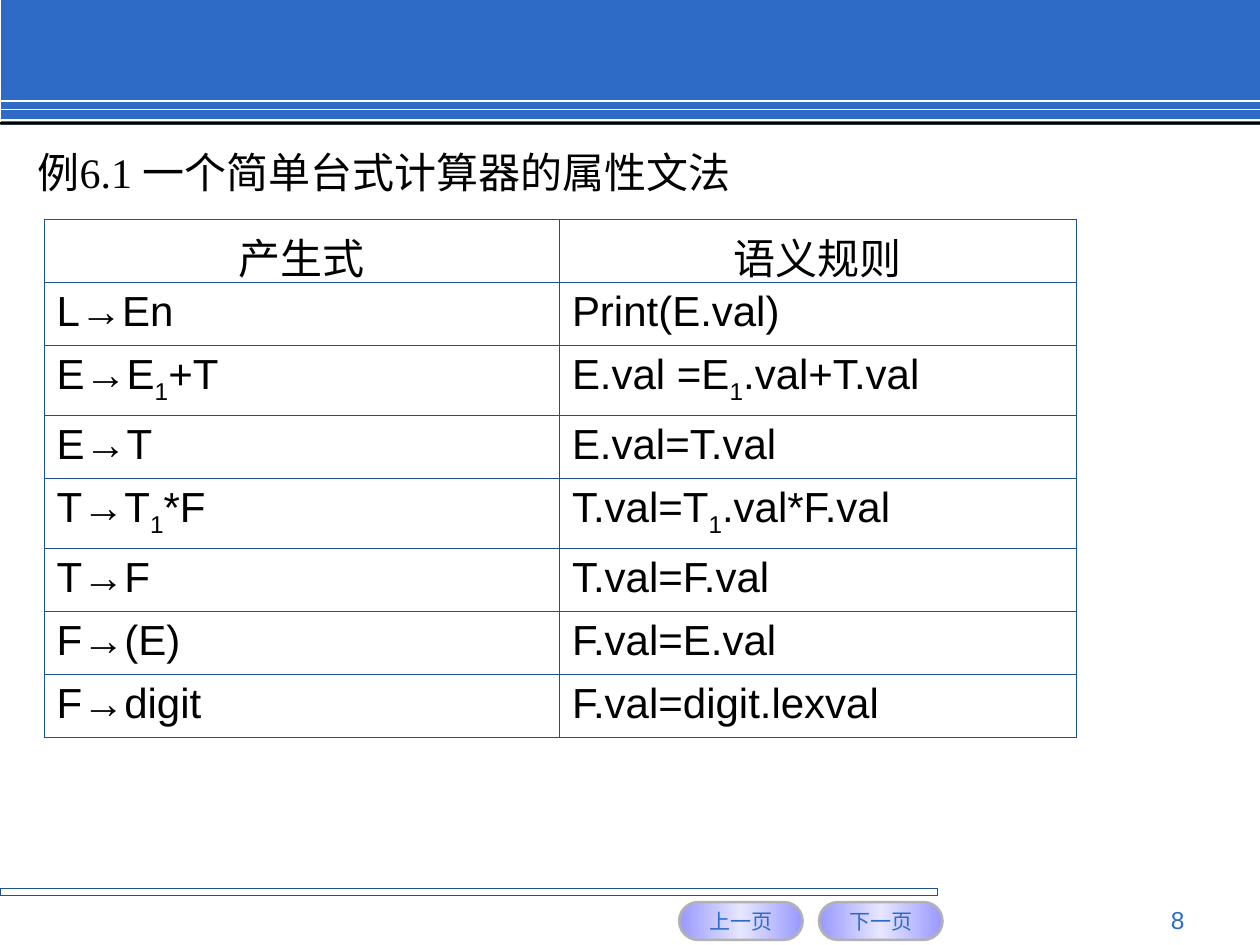
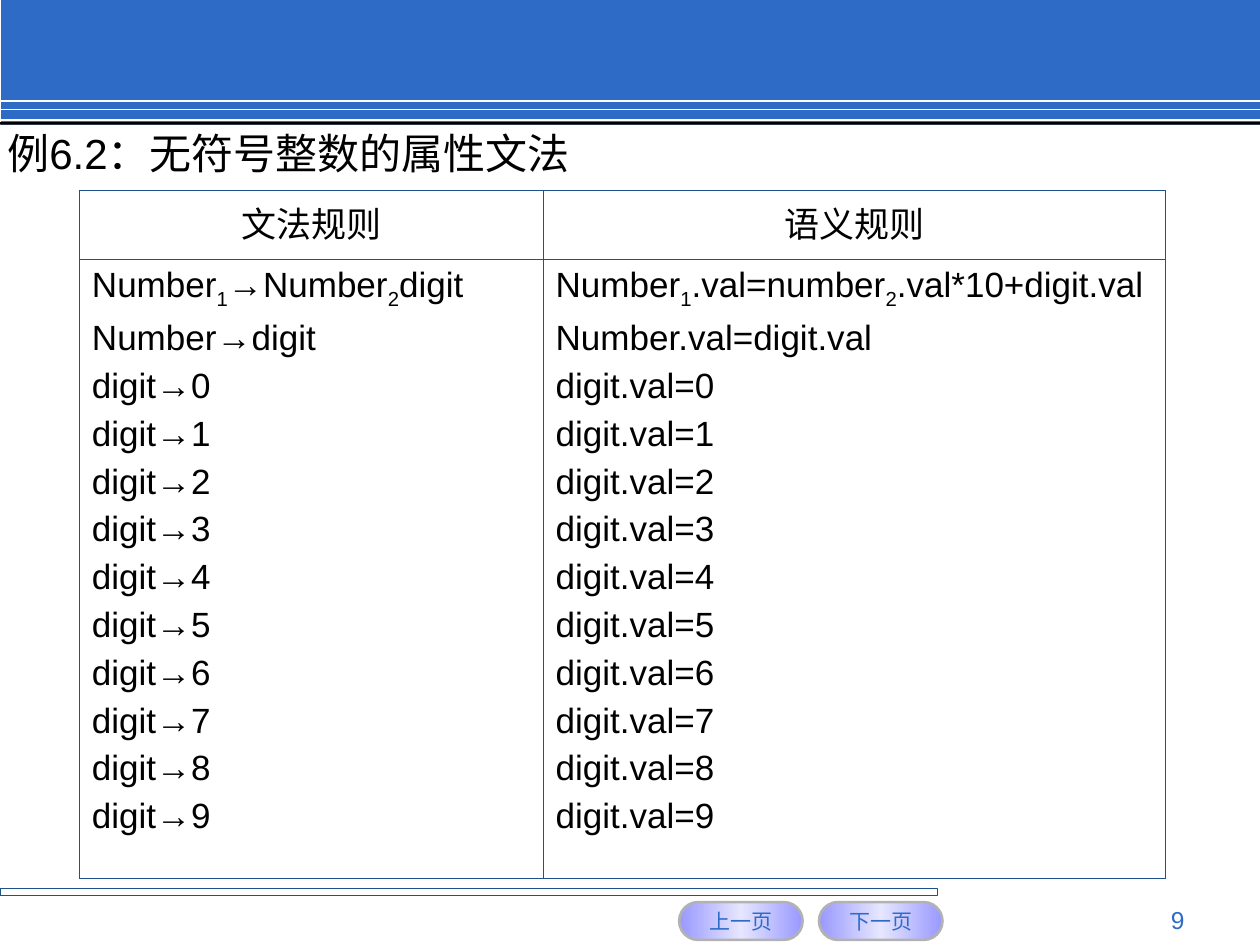
"""Build two slides of attribute grammar examples, each with a rule table."""
import copy

import pptx
import pptx.dml.color
import pptx.enum.shapes
import pptx.enum.text
import pptx.oxml
import pptx.oxml.ns
import pptx.util

EMU_PER_PX = 9144
SHAPES = pptx.enum.shapes.MSO_SHAPE
ALIGN = pptx.enum.text.PP_ALIGN
ANCHOR = pptx.enum.text.MSO_ANCHOR


def px(length):
    return pptx.util.Emu(length * EMU_PER_PX)


def box(*lengths):
    return [px(length) for length in lengths]


def color(hex_string):
    return pptx.dml.color.RGBColor.from_string(hex_string)


def write(frame, text, size=24, font="Arial", ink="000000", align=ALIGN.LEFT,
          anchor=ANCHOR.TOP, gap=0, wrap=True):
    frame.word_wrap = wrap
    frame.vertical_anchor = anchor
    for index, line in enumerate(text.split("\n")):
        paragraph = frame.paragraphs[0] if index == 0 else frame.add_paragraph()
        paragraph.alignment = align
        if index:
            paragraph.space_before = pptx.util.Pt(gap)
        base, *subscripted = line.split("_")
        pieces = [(base, False)]
        for part in subscripted:
            pieces += [(part[0], True), (part[1:], False)]
        for piece, lowered in pieces:
            run = paragraph.add_run()
            run.text = piece
            run.font.size = pptx.util.Pt(size)
            run.font.name = font
            run.font.color.rgb = color(ink)
            if lowered:
                run.font._element.set("baseline", "-25000")


class Deck:
    blue = "2D6BC7"
    rule_blue = "1D528D"
    white = "FFFFFF"
    black = "000000"
    button_edge = "9999FF"
    button_center = "E6E6FF"
    button_line = "B2B2B2"

    def __init__(self):
        self.presentation = pptx.Presentation()
        self.presentation.slide_width = px(1000)
        self.presentation.slide_height = px(750)
        self.slide = None

    def start_slide(self, number):
        self.slide = self.presentation.slides.add_slide(
            self.presentation.slide_layouts[6])
        self.shape(1, 0, 999, 99, fill=self.blue)
        for y in (80, 87, 95):
            self.line(0, y, 1000, y, self.white)
        self.shape(0, 97, 1000, 2, fill=self.black)
        self.shape(0, 705, 744, 6, line=self.rule_blue)
        for x, caption in ((539, "上一页"), (650, "下一页")):
            self.button(x, 716, 98, 30, caption)
        self.text(717, 713, 233, 27, str(number), size=14, ink=self.blue,
                  align=ALIGN.RIGHT)

    def shape(self, x, y, width, height, fill=None, line=None, weight=0.75,
              kind=SHAPES.RECTANGLE):
        shape = self.slide.shapes.add_shape(kind, *box(x, y, width, height))
        shape.shadow.inherit = False
        if fill:
            shape.fill.solid()
            shape.fill.fore_color.rgb = color(fill)
        else:
            shape.fill.background()
        if line:
            shape.line.color.rgb = color(line)
            shape.line.width = pptx.util.Pt(weight)
        else:
            shape.line.fill.background()
        return shape

    def line(self, x1, y1, x2, y2, ink):
        line = self.slide.shapes.add_connector(
            pptx.enum.shapes.MSO_CONNECTOR.STRAIGHT, *box(x1, y1, x2, y2))
        line.line.color.rgb = color(ink)
        line.line.width = pptx.util.Pt(1)
        pptx.oxml.ns.qn("a:effectLst")
        line._element.spPr.append(
            pptx.oxml.parse_xml(f"<a:effectLst {pptx.oxml.ns.nsdecls('a')}/>"))

    def button(self, x, y, width, height, caption):
        button = self.shape(x, y, width, height, line=self.button_line,
                            weight=1.5, kind=SHAPES.ROUNDED_RECTANGLE)
        button.adjustments[0] = 0.5
        button.fill.gradient()
        button.fill.gradient_angle = 0
        stops = button._element.spPr.find(f".//{pptx.oxml.ns.qn('a:gsLst')}")
        stops.insert(1, copy.deepcopy(stops[0]))
        shades = (self.button_edge, self.button_center, self.button_edge)
        for index, (stop, shade) in enumerate(
                zip(button.fill.gradient_stops, shades)):
            stop.position = index / 2
            stop.color.rgb = color(shade)
        write(button.text_frame, caption, size=12, ink=self.blue,
              align=ALIGN.CENTER, anchor=ANCHOR.MIDDLE, wrap=False)

    def text(self, x, y, width, height, text, **style):
        holder = self.slide.shapes.add_textbox(*box(x, y, width, height))
        write(holder.text_frame, text, **style)

    def border(self, cell):
        properties = cell._tc.get_or_add_tcPr()
        for side in ("lnL", "lnR", "lnT", "lnB"):
            properties.append(pptx.oxml.parse_xml(
                f'<a:{side} {pptx.oxml.ns.nsdecls("a")} w="5715"><a:solidFill>'
                f'<a:srgbClr val="{self.rule_blue}"/></a:solidFill></a:{side}>'))

    def table(self, x, y, widths, heights, rows, **style):
        table = self.slide.shapes.add_table(
            len(rows), len(widths),
            *box(x, y, sum(widths), sum(heights))).table
        table.first_row = table.horz_banding = False
        for column, width in zip(table.columns, widths):
            column.width = px(width)
        for index, (row, height, texts) in enumerate(
                zip(table.rows, heights, rows)):
            row.height = px(height)
            for cell, text in zip(row.cells, texts):
                self.border(cell)
                cell.fill.background()
                cell.margin_left = cell.margin_right = px(10)
                cell.margin_top = cell.margin_bottom = px(5)
                write(cell.text_frame, text,
                      align=ALIGN.LEFT if index else ALIGN.CENTER, **style)


def calculator_slide(deck):
    deck.start_slide(8)
    deck.text(20, 111, 882, 50, "例6.1 一个简单台式计算器的属性文法",
              font="Times New Roman")
    rules = [
        ("产生式", "语义规则"),
        ("L→En", "Print(E.val)"),
        ("E→E_1+T", "E.val =E_1.val+T.val"),
        ("E→T", "E.val=T.val"),
        ("T→T_1*F", "T.val=T_1.val*F.val"),
        ("T→F", "T.val=F.val"),
        ("F→(E)", "F.val=E.val"),
        ("F→digit", "F.val=digit.lexval"),
    ]
    heights = [55 if "_" in production else 50 for production, _ in rules]
    deck.table(35, 174, (409, 410), heights, rules)


def unsigned_integer_slide(deck):
    deck.start_slide(9)
    deck.text(-4, 81, 833, 81, "例6.2：无符号整数的属性文法",
              anchor=ANCHOR.MIDDLE)
    productions = ["Number_1→Number_2digit", "Number→digit"]
    productions += [f"digit→{digit}" for digit in range(10)]
    semantics = ["Number_1.val=number_2.val*10+digit.val",
                 "Number.val=digit.val"]
    semantics += [f"digit.val={digit}" for digit in range(10)]
    deck.table(63, 151, (368, 494), (55, 491),
               [("文法规则", "语义规则"),
                ("\n".join(productions), "\n".join(semantics))],
               size=20, gap=5)


def main():
    deck = Deck()
    calculator_slide(deck)
    unsigned_integer_slide(deck)
    deck.presentation.save("out.pptx")


if __name__ == "__main__":
    main()
